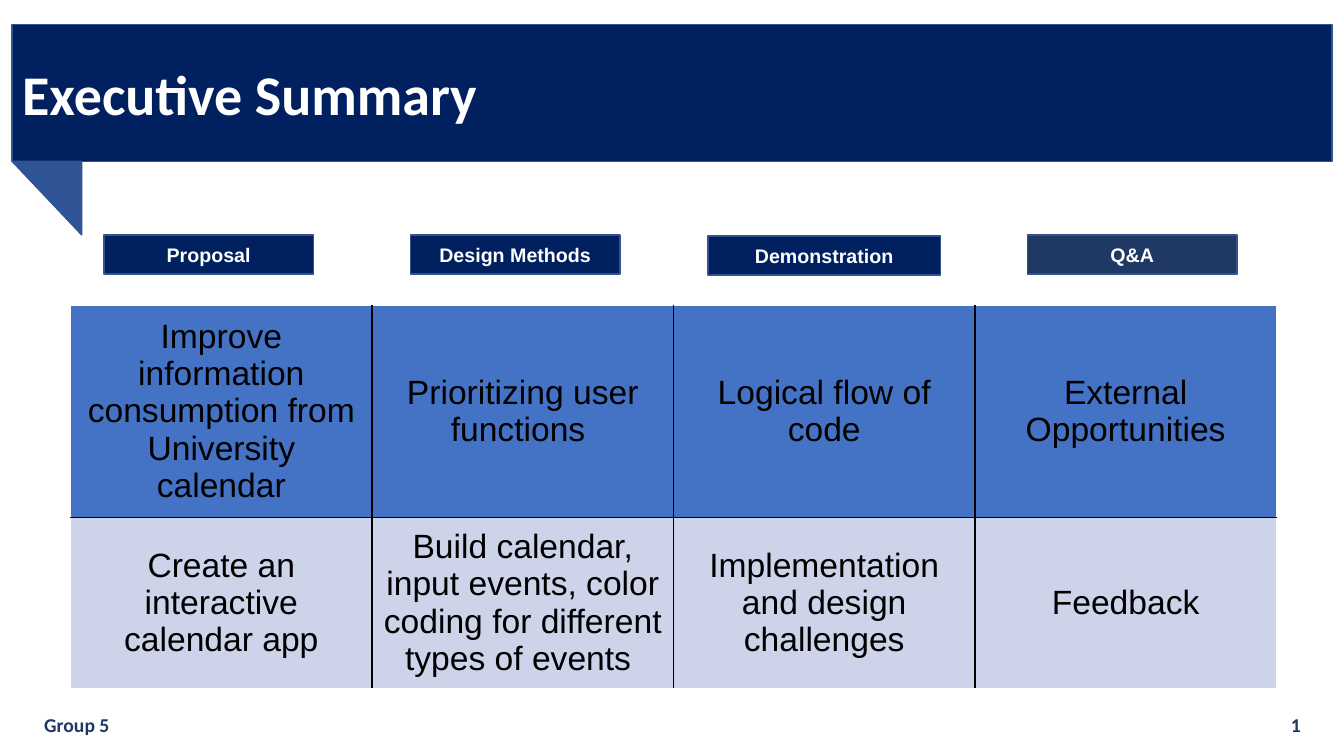
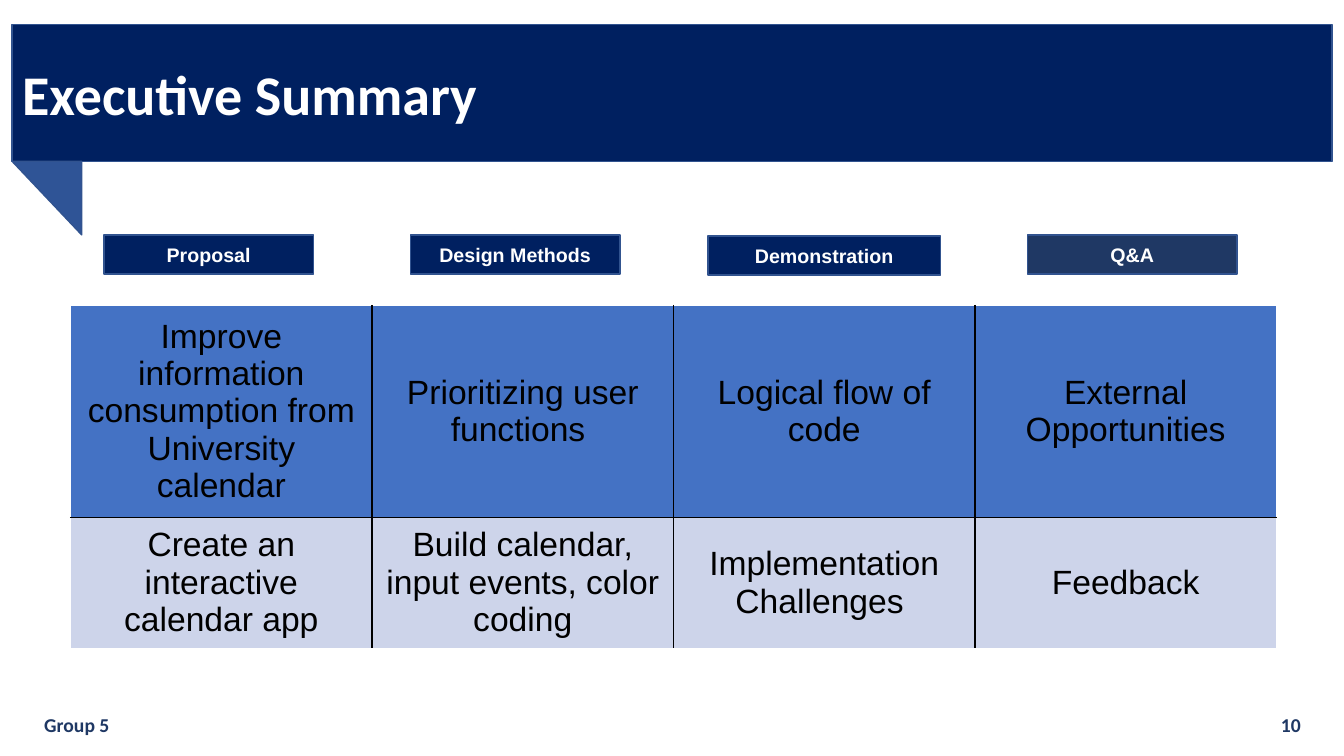
"""Build two executive summary slides with a ribbon title, column tags and a table."""
from lxml import etree
from pptx import Presentation
from pptx.dml.color import RGBColor
from pptx.enum.shapes import MSO_SHAPE
from pptx.enum.text import MSO_ANCHOR, MSO_AUTO_SIZE, PP_ALIGN
from pptx.oxml.ns import qn
from pptx.util import Inches, Pt

LEFT, CENTER, RIGHT = PP_ALIGN.LEFT, PP_ALIGN.CENTER, PP_ALIGN.RIGHT
MIDDLE = MSO_ANCHOR.MIDDLE
RECT, TRIANGLE = MSO_SHAPE.RECTANGLE, MSO_SHAPE.RIGHT_TRIANGLE
NAVY, INK, FOLD, EDGE = "002060", "1F3864", "2F5496", "31538F"
WHITE, BLACK = "FFFFFF", "000000"
ROW_FILLS = ["4472C4", "CDD4EA"]
COL_W = 2.99

TAGS = [
    ("Proposal", 1.03, 2.33, 2.08, NAVY),
    ("Design Methods", 4.07, 2.33, 2.08, NAVY),
    ("Demonstration", 7.02, 2.34, 2.31, NAVY),
    ("Q&A", 10.19, 2.33, 2.08, INK),
]
GOALS = ["Improve information consumption from University calendar",
         "Prioritizing user functions ", "Logical flow of code", "External Opportunities"]
SLIDES = [
    ("1", 1.59, ["Create an interactive calendar app",
                 "Build calendar, input events, color coding for different types of events ",
                 "Implementation and design challenges", "Feedback"]),
    ("10", 1.22, ["Create an interactive calendar app",
                  "Build calendar, input events, color coding",
                  "Implementation Challenges ", "Feedback"]),
]


def paint(sp, fill, line=EDGE):
    """Give a shape a solid fill and a thin outline."""
    sp.fill.solid()
    sp.fill.fore_color.rgb = RGBColor.from_string(fill)
    sp.line.color.rgb = RGBColor.from_string(line)
    sp.line.width = Pt(1)


def write(tf, text, size, font, color, align, bold=True):
    """Set one formatted paragraph of text."""
    tf.text = text
    tf.word_wrap = True
    p = tf.paragraphs[0]
    p.alignment = align
    f = p.runs[0].font
    f.size, f.name, f.bold = Pt(size), font, bold
    f.color.rgb = RGBColor.from_string(color)


prs = Presentation()
prs.slide_width, prs.slide_height = Inches(13.33), Inches(7.5)

for number, row_h, steps in SLIDES:
    s = prs.slides.add_slide(prs.slide_layouts[5])

    title = s.shapes.title
    title.left, title.top = Inches(0.12), Inches(0.24)
    title.width, title.height = Inches(13.09), Inches(1.36)
    paint(title, NAVY)
    write(title.text_frame, "Executive Summary", 40, "Calibri", WHITE, LEFT)
    title.text_frame.auto_size = MSO_AUTO_SIZE.NONE
    title.text_frame.vertical_anchor = MIDDLE

    sp = s.shapes.add_shape(TRIANGLE, Inches(0.12), Inches(1.6), Inches(0.69), Inches(0.73))
    sp.rotation = 180
    sp.shadow.inherit = False
    paint(sp, FOLD)

    for text, x, align in [("Group 5", 0.34, LEFT), (number, 10, RIGHT)]:
        sp = s.shapes.add_textbox(Inches(x), Inches(6.99), Inches(3), Inches(0.4))
        write(sp.text_frame, text, 14, "Calibri", INK, align)
        sp.text_frame.vertical_anchor = MIDDLE

    rows = [GOALS, steps]
    heights = [1.95, row_h]
    n_cols = len(GOALS)
    table = s.shapes.add_table(len(rows), n_cols, Inches(0.7), Inches(3.03),
                               Inches(COL_W * n_cols), Inches(sum(heights))).table
    table.first_row = table.horz_banding = False
    for col in table.columns:
        col.width = Inches(COL_W)
    for i, texts in enumerate(rows):
        table.rows[i].height = Inches(heights[i])
        for j, text in enumerate(texts):
            cell = table.cell(i, j)
            cell.vertical_anchor = MIDDLE
            write(cell.text_frame, text, 24, "Arial", BLACK, CENTER, bold=False)
            inner = {"a:lnL": j > 0, "a:lnR": j < n_cols - 1,
                     "a:lnT": i > 0, "a:lnB": i < len(rows) - 1}
            tc_pr = cell._tc.get_or_add_tcPr()
            for tag, drawn in inner.items():
                if drawn:
                    ln = etree.SubElement(tc_pr, qn(tag), w=str(Pt(1)))
                    fill = etree.SubElement(ln, qn("a:solidFill"))
                    etree.SubElement(fill, qn("a:srgbClr"), val=BLACK)
            cell.fill.solid()
            cell.fill.fore_color.rgb = RGBColor.from_string(ROW_FILLS[i])

    for text, x, y, w, fill in TAGS:
        sp = s.shapes.add_shape(RECT, Inches(x), Inches(y), Inches(w), Inches(0.39))
        sp.shadow.inherit = False
        paint(sp, fill)
        write(sp.text_frame, text, 14, "Arial", WHITE, CENTER)
        sp.text_frame.vertical_anchor = MIDDLE

prs.save("out.pptx")
